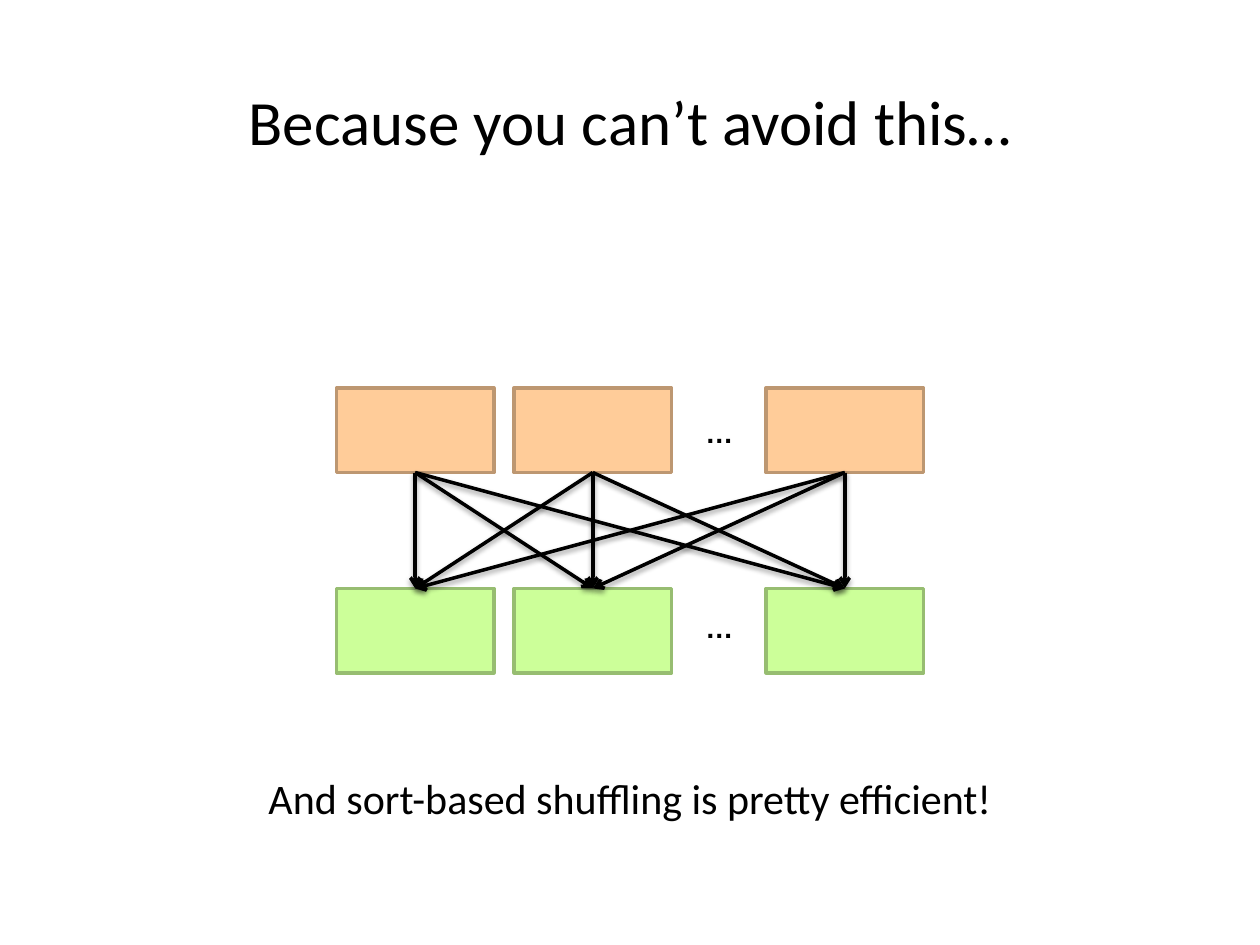
from dataclasses import dataclass
from itertools import product

from lxml import etree
from pptx import Presentation
from pptx.dml.color import RGBColor
from pptx.enum import shapes, text
from pptx.oxml import ns
from pptx.util import Inches, Pt


@dataclass(frozen=True)
class Theme:
    ink: str = "000000"
    upper: tuple = ("FFCC99", "BD9771")
    lower: tuple = ("CCFF99", "97BD71")
    body_font: str = "Calibri"
    dots_font: str = "Arial"
    title_size: int = 36
    caption_size: int = 24
    dots_size: int = 16
    line_width: int = 2


THEME = Theme()
BOX_WIDTH, BOX_HEIGHT = 1.25, 0.67
BOX_OFFSETS = (0, 1.41, 3.41)
DOTS_OFFSET = 2.83


def add_label(page, left, top, width, height, words, size, font=THEME.body_font,
              bold=False, wrap=True, align=text.PP_ALIGN.CENTER,
              anchor=text.MSO_ANCHOR.TOP):
    box = page.shapes.add_textbox(Inches(left), Inches(top), Inches(width), Inches(height))
    frame = box.text_frame
    frame.word_wrap = wrap
    frame.vertical_anchor = anchor
    para = frame.paragraphs[0]
    para.text = words
    para.alignment = align
    para.font.name = font
    para.font.size = Pt(size)
    para.font.bold = bold
    para.font.color.rgb = RGBColor.from_string(THEME.ink)


def add_row(page, left, top, colors, dots_top):
    """Place three boxes with an ellipsis before the last; return the boxes."""
    fill, outline = colors
    boxes = []
    for offset in BOX_OFFSETS:
        box = page.shapes.add_shape(
            shapes.MSO_SHAPE.RECTANGLE, Inches(left + offset), Inches(top),
            Inches(BOX_WIDTH), Inches(BOX_HEIGHT))
        box.shadow.inherit = False
        box.fill.solid()
        box.fill.fore_color.rgb = RGBColor.from_string(fill)
        box.line.color.rgb = RGBColor.from_string(outline)
        box.line.width = Pt(THEME.line_width)
        boxes.append(box)
    add_label(page, left + DOTS_OFFSET, dots_top, 0.43, 0.37, "…", THEME.dots_size,
              THEME.dots_font, bold=True, wrap=False, align=text.PP_ALIGN.LEFT)
    return boxes


def add_arrow(page, source, target):
    """Join the bottom of source to the top of target."""
    arrow = page.shapes.add_connector(shapes.MSO_CONNECTOR.STRAIGHT, 0, 0, 0, 0)
    arrow.begin_connect(source, 2)
    arrow.end_connect(target, 0)
    arrow.line.color.rgb = RGBColor.from_string(THEME.ink)
    arrow.line.width = Pt(THEME.line_width)
    outline = arrow.line._get_or_add_ln()
    etree.SubElement(outline, ns.qn("a:tailEnd"), type="arrow")
    effects = etree.SubElement(arrow._element.spPr, ns.qn("a:effectLst"))
    shadow = etree.SubElement(
        effects, ns.qn("a:outerShdw"), blurRad=str(Pt(3.1)), dist=str(Pt(1.6)),
        dir="5400000", rotWithShape="0")
    color = etree.SubElement(shadow, ns.qn("a:srgbClr"), val=THEME.ink)
    etree.SubElement(color, ns.qn("a:alpha"), val="38000")


def add_shuffle(page, left, top):
    """Draw two rows of boxes, every upper one linked to every lower one."""
    lower = add_row(page, left, top + 1.59, THEME.lower, top + 1.72)
    upper = add_row(page, left, top, THEME.upper, top + 0.17)
    for source, target in product(upper, lower):
        add_arrow(page, source, target)


def main():
    deck = Presentation()
    deck.slide_width, deck.slide_height = Inches(10), Inches(7.5)
    page = deck.slides.add_slide(deck.slide_layouts[6])
    add_label(page, 0, 0.58, 10, 0.75, "Because you can’t avoid this…",
              THEME.title_size, anchor=text.MSO_ANCHOR.MIDDLE)
    add_shuffle(page, 2.67, 3.08)
    add_label(page, 0, 6.08, 10, 0.5, "And sort-based shuffling is pretty efficient!",
              THEME.caption_size)
    deck.save("out.pptx")


if __name__ == "__main__":
    main()
